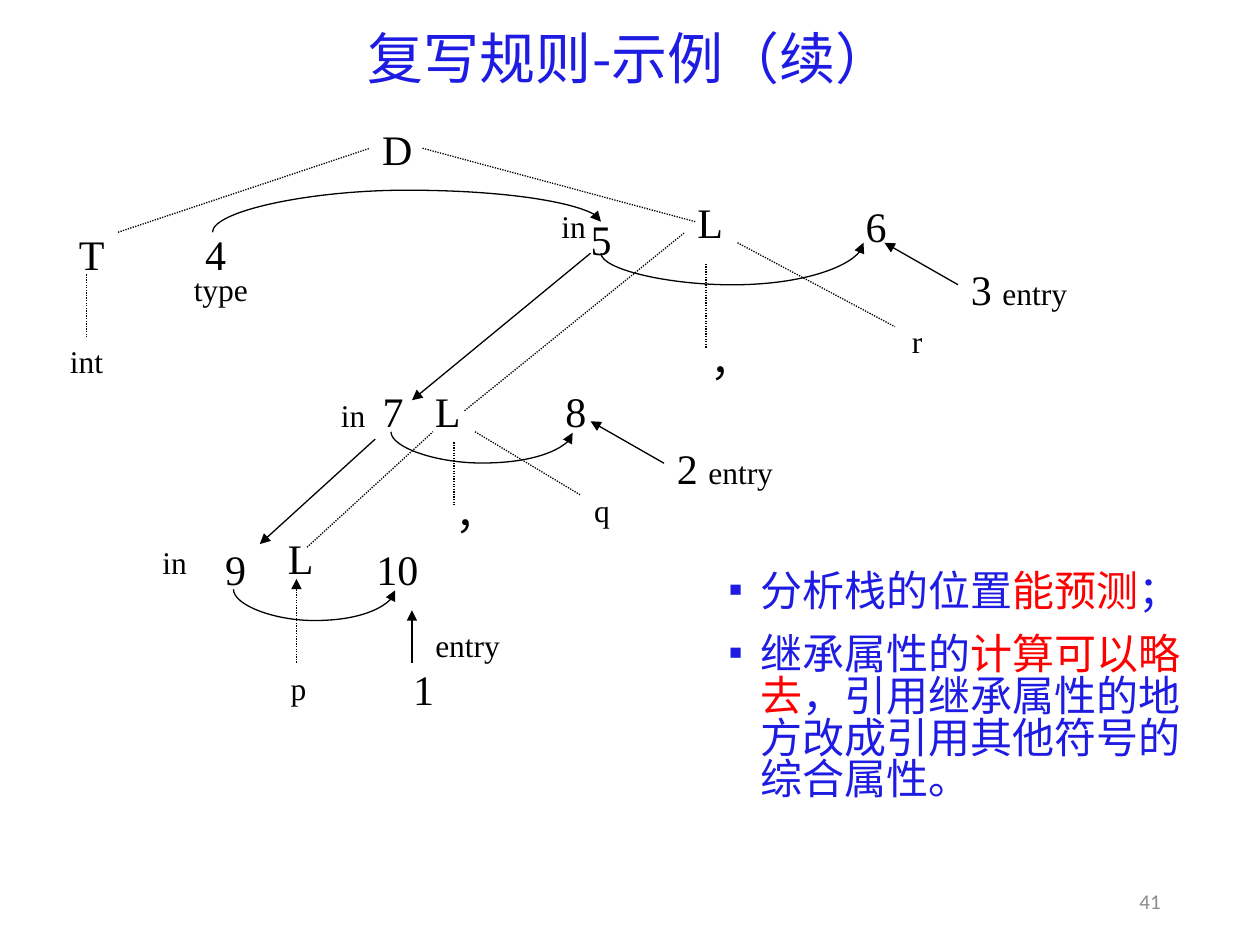
from lxml.etree import SubElement
from pptx import Presentation
from pptx.dml.color import RGBColor
from pptx.enum.dml import MSO_LINE
from pptx.enum.shapes import MSO_CONNECTOR
from pptx.enum.text import MSO_ANCHOR, PP_ALIGN
from pptx.oxml.ns import qn
from pptx.util import Inches, Pt

HUES = {"ink": "000000", "blue": "1E1CE3", "red": "FF0000", "gray": "8C8C8C"}
SERIF = "Times New Roman"
SANS = "Noto Sans CJK SC"
CELL = 1 / 12

NODES = [
    ("D", 37.6, 14, 0.44), ("T", 8.5, 24, 0.4), ("4", 20.3, 24, 0.37),
    ("5", 57, 22.6, 0.37), ("L", 67.4, 21, 0.4), ("6", 83.2, 21.4, 0.37),
    ("7", 37.2, 39, 0.37), ("L", 42.4, 39, 0.4), ("8", 54.6, 39, 0.37),
    ("9", 22.2, 54, 0.37), ("L", 28.4, 53, 0.4), ("10", 37.6, 54, 0.53),
    ("1", 40.1, 65.5, 0.37), ("，", 68.5, 34.1, 0.37), ("，", 44.2, 48.7, 0.37),
]
TAGS = [
    ("int", 8, 34.3, 0.47), ("type", 20.8, 27.4, 0.63),
    ("in", 54.4, 21.4, 0.4), ("in", 33.4, 39.4, 0.4), ("in", 16.4, 53.4, 0.4),
    ("r", 87.1, 32.4, 0.29), ("q", 57.1, 48.4, 0.33), ("p", 28.2, 65.4, 0.33),
    ("entry", 44.3, 61.3, 0.72),
]
PAIRS = [("3 ", 96.8, 27.4), ("2 ", 68.8, 44.4)]
EDGES = [
    (11, 22, 35, 14), (40, 14, 66, 21), (8, 26, 8, 32),
    (44, 39, 65, 22), (67, 25, 67, 33), (70, 23, 85, 31),
    (29, 52, 41, 41), (43, 42, 43, 48), (45, 41, 55, 47),
]
FLOWS = [
    (56, 24, 39, 38), (35.5, 41.7, 24.5, 51.7), (91, 27, 84, 23),
    (63, 44, 56, 40), (39, 63, 39, 58),
]
ARCS = [
    (20, 22, 57, 21, 18), (57, 24, 82, 23, 27),
    (37, 41, 54.3, 41.1, 44), (22, 56, 37.4, 56.1, 59),
]
NOTES = [
    [("分析栈的位置", "blue"), ("能预测", "red"), ("；", "blue")],
    [("继承属性的", "blue"), ("计算可以略去", "red"),
     ("，引用继承属性的地方改成引用其他符号的综合属性。", "blue")],
]


def col(num):
    return Inches(0.02 + num * CELL)


def row(num):
    return Inches(0.01 + num * CELL)


def style(font, size, face, hue):
    font.size = Pt(size)
    font.name = face
    font.color.rgb = RGBColor.from_string(HUES[hue])


def add_run(para, text, size, face, hue):
    run = para.add_run()
    run.text = text
    style(run.font, size, face, hue)
    if face != SERIF:
        SubElement(run.font._element, qn("a:ea")).set("typeface", face)


def add_box(slide, left, top, wide, high, wrap=True, anchor=MSO_ANCHOR.MIDDLE):
    box = slide.shapes.add_textbox(left, top, wide, high)
    frame = box.text_frame
    frame.word_wrap = wrap
    frame.vertical_anchor = anchor
    return frame


def add_label(slide, runs, x, y, wide, high):
    wide, high = Inches(wide), Inches(high)
    frame = add_box(slide, col(x) - wide // 2, row(y) - high // 2, wide, high, False)
    para = frame.paragraphs[0]
    para.alignment = PP_ALIGN.CENTER
    for text, size in runs:
        add_run(para, text, size, SERIF, "ink")


def finish(link, head):
    link.line.width = Pt(0.75)
    link.line.color.rgb = RGBColor.from_string(HUES["ink"])
    props = link._element.spPr
    if head:
        SubElement(props.find(qn("a:ln")), qn("a:tailEnd")).set("type", "triangle")
    SubElement(props, qn("a:effectLst"))


def add_line(slide, ends, head):
    x1, y1, x2, y2 = ends
    link = slide.shapes.add_connector(
        MSO_CONNECTOR.STRAIGHT, col(x1), row(y1), col(x2), row(y2))
    if not head:
        link.line.dash_style = MSO_LINE.ROUND_DOT
    finish(link, head)


def add_arc(slide, x1, y1, x2, y2, peak):
    mid_x, mid_y = (x1 + x2) / 2, (y1 + y2) / 2
    rise, span = (y1 - y2) / 2, (x2 - x1) / 2
    link = slide.shapes.add_connector(
        MSO_CONNECTOR.CURVE, col(mid_x - rise), row(mid_y - span),
        col(mid_x + rise), row(mid_y + span))
    props = link._element.spPr
    props.find(qn("a:xfrm")).set("rot", str(270 * 60000))
    geom = props.find(qn("a:prstGeom"))
    guides = geom.find(qn("a:avLst"))
    guide = SubElement(guides, qn("a:gd"))
    guide.set("name", "adj1")
    guide.set("fmla", f"val {round((peak - y1) / (y2 - y1) * 100000)}")
    finish(link, True)


def add_bullet(para):
    props = para._p.get_or_add_pPr()
    props.set("marL", str(Inches(0.25)))
    props.set("indent", str(-Inches(0.25)))
    tint = SubElement(SubElement(props, qn("a:buClr")), qn("a:srgbClr"))
    tint.set("val", HUES["blue"])
    SubElement(props, qn("a:buSzPct")).set("val", "50000")
    SubElement(props, qn("a:buFont")).set("typeface", SERIF)
    SubElement(props, qn("a:buChar")).set("char", "■")


def add_notes(slide):
    frame = add_box(slide, Inches(5.69), Inches(4.5), Inches(3.94), Inches(2.39),
                    anchor=MSO_ANCHOR.TOP)
    for index, parts in enumerate(NOTES):
        para = frame.add_paragraph() if index else frame.paragraphs[0]
        add_bullet(para)
        para.line_spacing = 0.83
        para.space_before = Pt(6 if index else 0)
        para.space_after = Pt(6)
        for text, hue in parts:
            add_run(para, text, 24, SANS, hue)


def add_title(slide):
    frame = add_box(slide, Inches(0.69), Inches(0.13), Inches(8.62), Inches(0.71))
    para = frame.paragraphs[0]
    para.alignment = PP_ALIGN.CENTER
    para.line_spacing = 0.9
    add_run(para, "复写规则-示例（续）", 32, "Noto Sans CJK JP", "blue")


def add_page(slide):
    frame = add_box(slide, Inches(7.06), Inches(6.95), Inches(2.25), Inches(0.4))
    para = frame.paragraphs[0]
    para.text = "41"
    para.alignment = PP_ALIGN.RIGHT
    style(para.font, 12, "Calibri", "gray")


def main():
    deck = Presentation()
    deck.slide_width, deck.slide_height = Inches(10), Inches(7.5)
    slide = deck.slides.add_slide(deck.slide_layouts[6])
    add_title(slide)
    add_notes(slide)
    add_page(slide)
    for ends in EDGES:
        add_line(slide, ends, False)
    add_line(slide, (28, 63, 28, 55), True)
    slide.shapes[-1].line.dash_style = MSO_LINE.ROUND_DOT
    for ends in FLOWS:
        add_line(slide, ends, True)
    for arc in ARCS:
        add_arc(slide, *arc)
    for text, x, y, wide in NODES:
        add_label(slide, [(text, 24)], x, y, wide, 0.5)
    for text, x, y, wide in TAGS:
        add_label(slide, [(text, 18)], x, y, wide, 0.4)
    for text, x, y in PAIRS:
        add_label(slide, [(text, 24), ("entry", 18)], x, y, 1.02, 0.5)
    deck.save("out.pptx")


if __name__ == "__main__":
    main()
